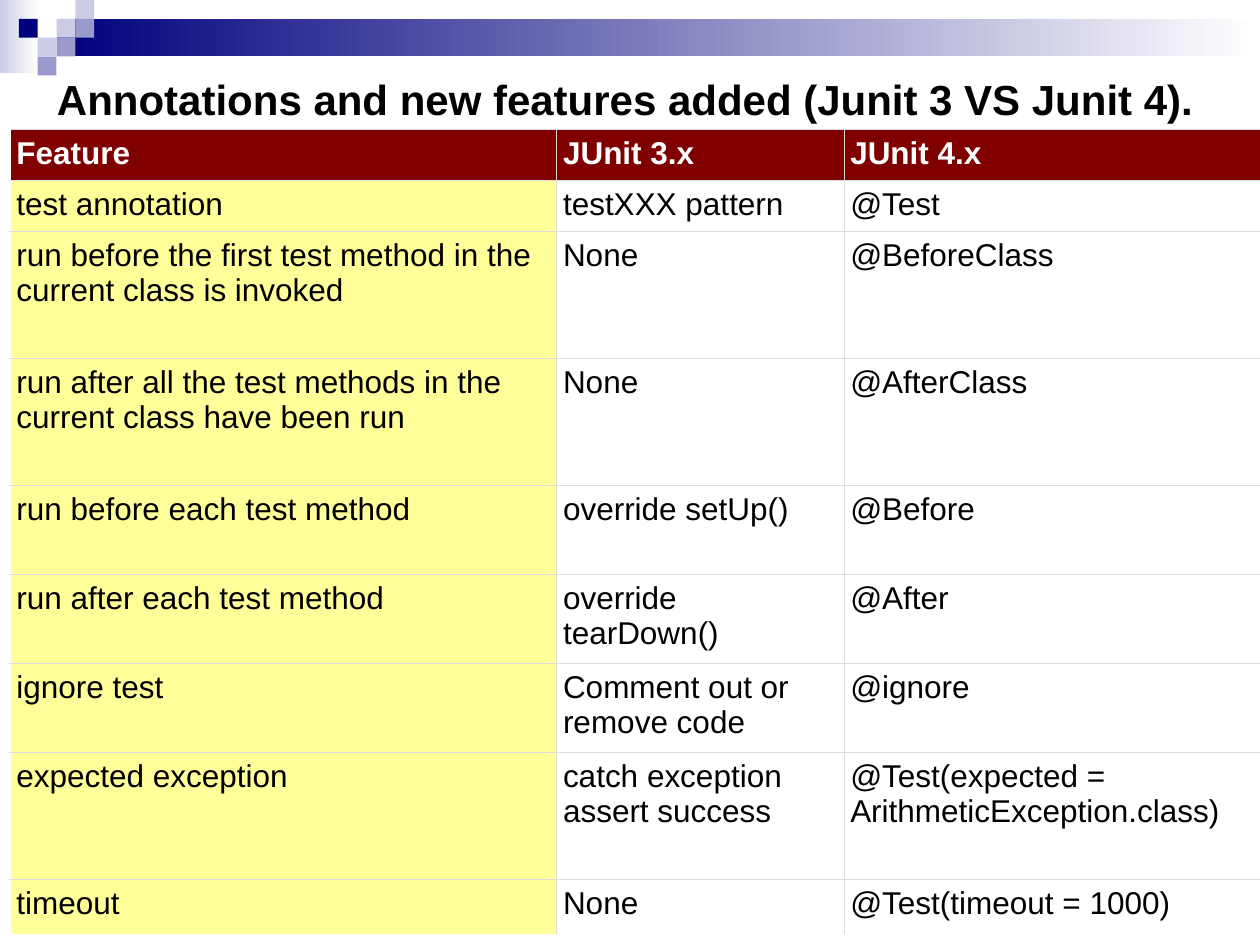
from lxml import etree
from pptx import Presentation
from pptx.dml.color import RGBColor
from pptx.enum.shapes import MSO_SHAPE
from pptx.enum.text import MSO_ANCHOR
from pptx.oxml.ns import qn
from pptx.util import Cm, Pt

RECTANGLE = MSO_SHAPE.RECTANGLE
MIDDLE = MSO_ANCHOR.MIDDLE

TITLE = "Annotations and new features added (Junit 3 VS Junit 4)."
ROWS = [
    ("Feature", "JUnit 3.x", "JUnit 4.x"),
    ("test annotation", "testXXX pattern", "@Test"),
    ("run before the first test method in the current class is invoked", "None", "@BeforeClass"),
    ("run after all the test methods in the current class have been run", "None", "@AfterClass"),
    ("run before each test method", "override setUp()", "@Before"),
    ("run after each test method", "override tearDown()", "@After"),
    ("ignore test", "Comment out or remove code", "@ignore"),
    ("expected exception", "catch exception assert success", "@Test(expected = ArithmeticException.class)"),
    ("timeout", "None", "@Test(timeout = 1000)"),
]
COLUMN_WIDTHS = [11.02, 5.79, 8.41]
ROW_HEIGHTS = [1.03, 1.03, 2.56, 2.56, 1.79, 1.79, 1.79, 2.56, 1.13]

THEME = {
    "font": "Arial", "title_size": 24, "table_size": 18,
    "text": "000000", "header_text": "FFFFFF", "header_fill": "800000",
    "feature_fill": "FFFF99", "cell_fill": "FFFFFF",
    "border": "DDDDDD", "border_width": 0.34,
    "navy": "00007D", "lilac": "CCCCE6", "violet": "9999CC", "white": "FFFFFF",
}

GRADIENTS = [((0, 0, 0.79, 1.47), "lilac"), ((1.14, 0.38, 24.26, 0.76), "navy")]
SQUARE = 0.38
SQUARES = [
    (3, 1, "lilac"), (4, 0, "lilac"), (4, 1, "violet"), (2, 2, "lilac"),
    (1, 1, "navy"), (3, 2, "violet"), (2, 3, "violet"),
]


def color(name):
    return RGBColor.from_string(THEME[name])


def add_rectangle(slide, box):
    shape = slide.shapes.add_shape(RECTANGLE, *map(Cm, box))
    shape.shadow.inherit = False
    shape.line.fill.background()
    return shape


def add_banner(slide):
    for box, start in GRADIENTS:
        fill = add_rectangle(slide, box).fill
        fill.gradient()
        fill.gradient_angle = 0
        for stop, name in zip(fill.gradient_stops, (start, "white")):
            stop.color.rgb = color(name)
    for column, row, name in SQUARES:
        fill = add_rectangle(slide, (column * SQUARE, row * SQUARE, SQUARE, SQUARE)).fill
        fill.solid()
        fill.fore_color.rgb = color(name)


def write(text_frame, text, size, color_name, bold):
    text_frame.text = text
    font = text_frame.paragraphs[0].runs[0].font
    font.name = THEME["font"]
    font.size = Pt(THEME[size])
    font.bold = bold
    font.color.rgb = color(color_name)


def add_borders(cell, sides):
    properties = cell._tc.get_or_add_tcPr()
    for side in sides:
        line = etree.SubElement(properties, qn(f"a:ln{side}"), w=str(Pt(THEME["border_width"])))
        fill = etree.SubElement(line, qn("a:solidFill"))
        etree.SubElement(fill, qn("a:srgbClr"), val=THEME["border"])


def add_title(slide):
    box = slide.shapes.add_textbox(Cm(0.9), Cm(1.27), Cm(24), Cm(1.45))
    box.text_frame.word_wrap = True
    box.text_frame.vertical_anchor = MIDDLE
    write(box.text_frame, TITLE, "title_size", "text", True)


def add_feature_table(slide):
    table = slide.shapes.add_table(
        len(ROWS), len(COLUMN_WIDTHS), Cm(0.2), Cm(2.61),
        Cm(sum(COLUMN_WIDTHS)), Cm(sum(ROW_HEIGHTS))).table
    table.horz_banding = False
    for column, width in zip(table.columns, COLUMN_WIDTHS):
        column.width = Cm(width)
    for row, height in zip(table.rows, ROW_HEIGHTS):
        row.height = Cm(height)
    for row_index, texts in enumerate(ROWS):
        header = row_index == 0
        for column_index, text in enumerate(texts):
            cell = table.cell(row_index, column_index)
            cell.margin_left = cell.margin_right = Cm(0.13)
            cell.margin_top = cell.margin_bottom = Cm(0.13)
            write(cell.text_frame, text, "table_size", "header_text" if header else "text", header)
            sides = {
                "L": column_index > 0,
                "R": column_index < len(texts) - 1,
                "T": True,
                "B": row_index < len(ROWS) - 1,
            }
            add_borders(cell, [side for side, shown in sides.items() if shown])
            body_fill = "cell_fill" if column_index else "feature_fill"
            cell.fill.solid()
            cell.fill.fore_color.rgb = color("header_fill" if header else body_fill)


def main():
    """Build the slide comparing JUnit 3 and JUnit 4 features."""
    presentation = Presentation()
    presentation.slide_width = Cm(25.4)
    presentation.slide_height = Cm(19.05)
    slide = presentation.slides.add_slide(presentation.slide_layouts[6])
    add_banner(slide)
    add_title(slide)
    add_feature_table(slide)
    presentation.save("out.pptx")


if __name__ == "__main__":
    main()
